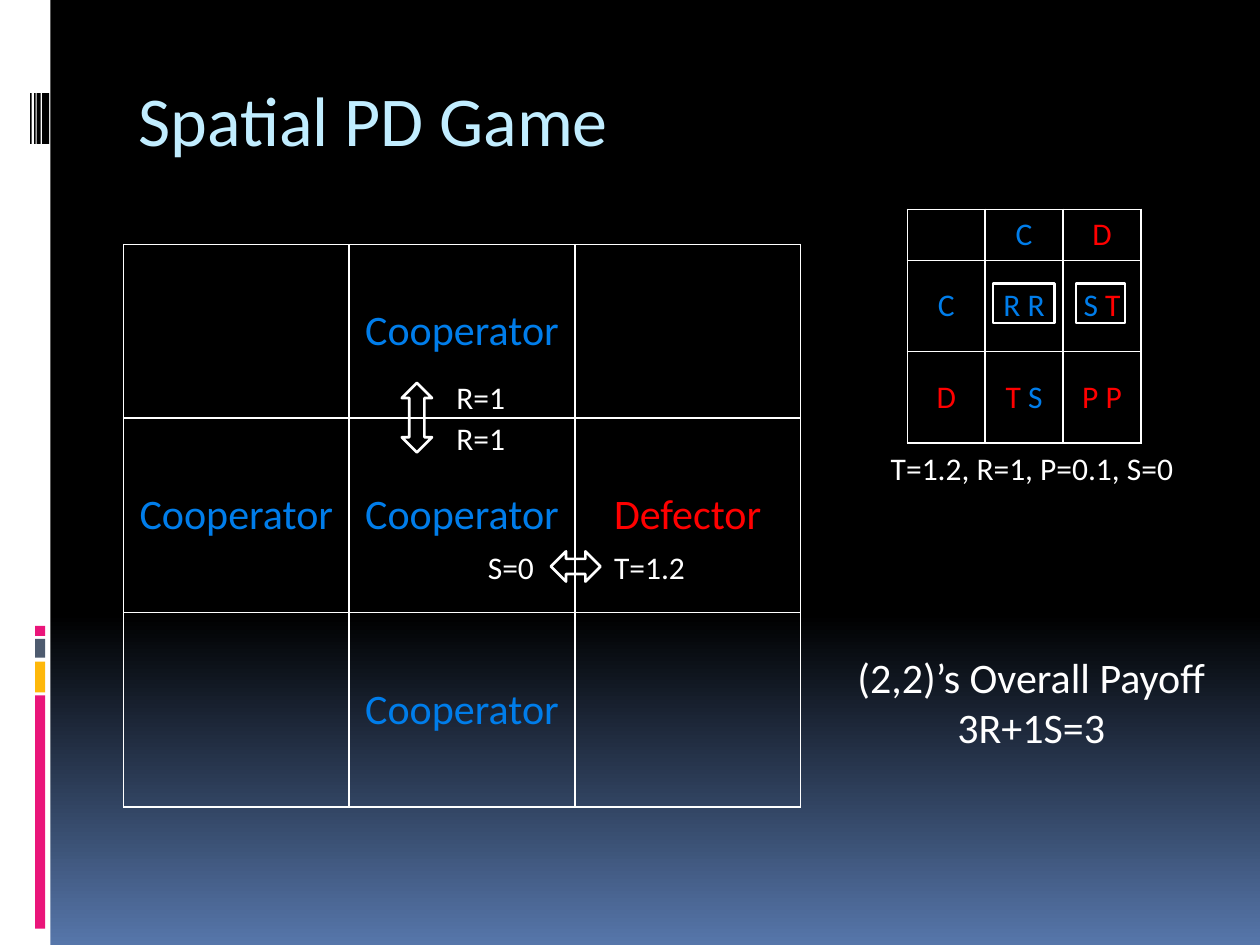
from copy import deepcopy
from dataclasses import dataclass

from lxml.etree import SubElement
from pptx import Presentation
from pptx.dml.color import RGBColor
from pptx.enum.shapes import MSO_SHAPE as Shape
from pptx.enum.text import MSO_ANCHOR as Anchor, PP_ALIGN as Align
from pptx.oxml.ns import qn
from pptx.util import Cm, Pt

COLORS = {
    "white": "FFFFFF", "black": "000000", "sky": "5676AA", "title": "C1EDFF",
    "pink": "EA157A", "amber": "FEB80A", "slate": "4E5B6F",
    "cooperate": "007DEA", "defect": "FF0000",
}
DEFECT_INITIALS = "DTP"


@dataclass(frozen=True)
class Box:
    """A rectangle in centimetres."""
    x: float
    y: float
    w: float
    h: float

    def emu(self) -> tuple:
        return Cm(self.x), Cm(self.y), Cm(self.w), Cm(self.h)


@dataclass(frozen=True)
class Bar:
    box: Box
    color: str


@dataclass(frozen=True)
class Outline:
    kind: Shape
    box: Box
    rotation: int = 0


@dataclass(frozen=True)
class Label:
    text: str
    box: Box
    size: int = 18


@dataclass(frozen=True)
class Grid:
    x: float
    y: float
    col_width: float
    row_heights: tuple
    size: int
    rows: tuple


BARS = [
    Bar(Box(0, 0, 1.02, 19.05), "white"),
    Bar(Box(0.71, 14.02, 0.2, 4.7), "pink"),
    Bar(Box(0.71, 13.34, 0.2, 0.62), "amber"),
    Bar(Box(0.71, 12.88, 0.2, 0.38), "slate"),
    Bar(Box(0.71, 12.62, 0.2, 0.2), "pink"),
] + [
    Bar(Box(x, 1.88, w, 1.02), "black")
    for x, w in ((0.85, 0.14), (0.74, 0.08), (0.69, 0.03), (0.61, 0.03))
]

GRIDS = [
    Grid(2.49, 4.93, 4.55, (3.5, 3.92, 3.92), 24, (
        ("", "Cooperator", ""),
        ("Cooperator", "Cooperator", "Defector"),
        ("", "Cooperator", ""),
    )),
    Grid(18.29, 4.22, 1.57, (1.03, 1.84, 1.84), 18, (
        ("", "C", "D"),
        ("C", "R R", "S T"),
        ("D", "T S", "P P"),
    )),
]

OUTLINES = [
    Outline(Shape.UP_DOWN_ARROW, Box(8.1, 7.72, 0.61, 1.4)),
    Outline(Shape.UP_DOWN_ARROW, Box(11.3, 10.92, 0.61, 1), 90),
    Outline(Shape.RECTANGLE, Box(20.02, 5.72, 1.24, 0.79)),
    Outline(Shape.RECTANGLE, Box(21.69, 5.72, 0.99, 0.79)),
]

LABELS = [
    Label("T=1.2, R=1, P=0.1, S=0", Box(17.3, 8.92, 7.01, 1.02)),
    Label("R=1", Box(8.89, 7.49, 1.6, 1.02)),
    Label("R=1", Box(8.89, 8.33, 1.6, 1.02)),
    Label("S=0", Box(9.5, 10.92, 1.6, 1.02)),
    Label("T=1.2", Box(12.09, 10.92, 2.01, 1.02)),
    Label("(2,2)’s Overall Payoff 3R+1S=3", Box(16.99, 13, 7.6, 2.31), 24),
]


def rgb(name: str) -> RGBColor:
    return RGBColor.from_string(COLORS[name])


def add_run(p, text: str, size: int, color: str) -> None:
    r = p.add_run()
    r.text = text
    for key, value in {"name": "Calibri", "size": Pt(size), "bold": False}.items():
        setattr(r.font, key, value)
    r.font.color.rgb = rgb(color)


def paint_background(s) -> None:
    """Black down to 65 % of the height, then fading to blue."""
    fill = s.background.fill
    fill.gradient()
    fill.gradient_angle = 270
    gs_list = next(s.element.iter(qn("a:gsLst")))
    gs_list.insert(0, deepcopy(gs_list[0]))
    stops = ((0, "black"), (0.65, "black"), (1, "sky"))
    for stop, (position, color) in zip(fill.gradient_stops, stops):
        stop.position = position
        stop.color.rgb = rgb(color)


def add_title(s, text: str) -> None:
    title = s.shapes.title
    title.left, title.top, title.width, title.height = Box(2.54, 1.42, 21.59, 2.54).emu()
    tf = title.text_frame
    tf.vertical_anchor = Anchor.TOP
    p = tf.paragraphs[0]
    p.alignment = Align.LEFT
    add_run(p, text, 40, "title")


def add_bar(s, bar: Bar) -> None:
    sp = s.shapes.add_shape(Shape.RECTANGLE, *bar.box.emu())
    sp.shadow.inherit = False
    sp.fill.solid()
    sp.fill.fore_color.rgb = rgb(bar.color)
    sp.line.fill.background()


def add_outline(s, outline: Outline) -> None:
    sp = s.shapes.add_shape(outline.kind, *outline.box.emu())
    sp.shadow.inherit = False
    sp.rotation = outline.rotation
    sp.fill.background()
    sp.line.color.rgb = rgb("white")
    sp.line.width = Pt(1.5)


def add_label(s, label: Label) -> None:
    tf = s.shapes.add_textbox(*label.box.emu()).text_frame
    tf.word_wrap = True
    p = tf.paragraphs[0]
    p.alignment = Align.CENTER
    add_run(p, label.text, label.size, "white")


def set_borders(cell) -> None:
    tc_pr = cell._tc.get_or_add_tcPr()
    for i, side in enumerate(("lnL", "lnR", "lnT", "lnB")):
        ln = tc_pr.makeelement(qn(f"a:{side}"), {"w": str(Pt(1))})
        tc_pr.insert(i, ln)
        fill = SubElement(ln, qn("a:solidFill"))
        SubElement(fill, qn("a:srgbClr"), val=COLORS["white"])


def fill_cell(cell, text: str, size: int) -> None:
    """Write each word in the colour of the strategy its initial stands for."""
    cell.fill.background()
    set_borders(cell)
    cell.vertical_anchor = Anchor.MIDDLE
    p = cell.text_frame.paragraphs[0]
    p.alignment = Align.CENTER
    words = text.split()
    for i, word in enumerate(words, 1):
        color = "defect" if word[0] in DEFECT_INITIALS else "cooperate"
        add_run(p, word + (" " if i < len(words) else ""), size, color)


def add_grid(s, grid: Grid) -> None:
    n_rows, n_cols = len(grid.rows), len(grid.rows[0])
    box = Box(grid.x, grid.y, grid.col_width * n_cols, sum(grid.row_heights))
    table = s.shapes.add_table(n_rows, n_cols, *box.emu()).table
    table.first_row = table.horz_banding = False
    for row, height, texts in zip(table.rows, grid.row_heights, grid.rows):
        row.height = Cm(height)
        for cell, text in zip(row.cells, texts):
            fill_cell(cell, text, grid.size)


def main() -> None:
    prs = Presentation()
    prs.slide_width, prs.slide_height = Cm(25.4), Cm(19.05)
    s = prs.slides.add_slide(prs.slide_layouts.get_by_name("Title Only"))
    paint_background(s)
    add_title(s, "Spatial PD Game")
    for items, draw in ((BARS, add_bar), (GRIDS, add_grid),
                        (OUTLINES, add_outline), (LABELS, add_label)):
        for item in items:
            draw(s, item)
    prs.save("out.pptx")


if __name__ == "__main__":
    main()
